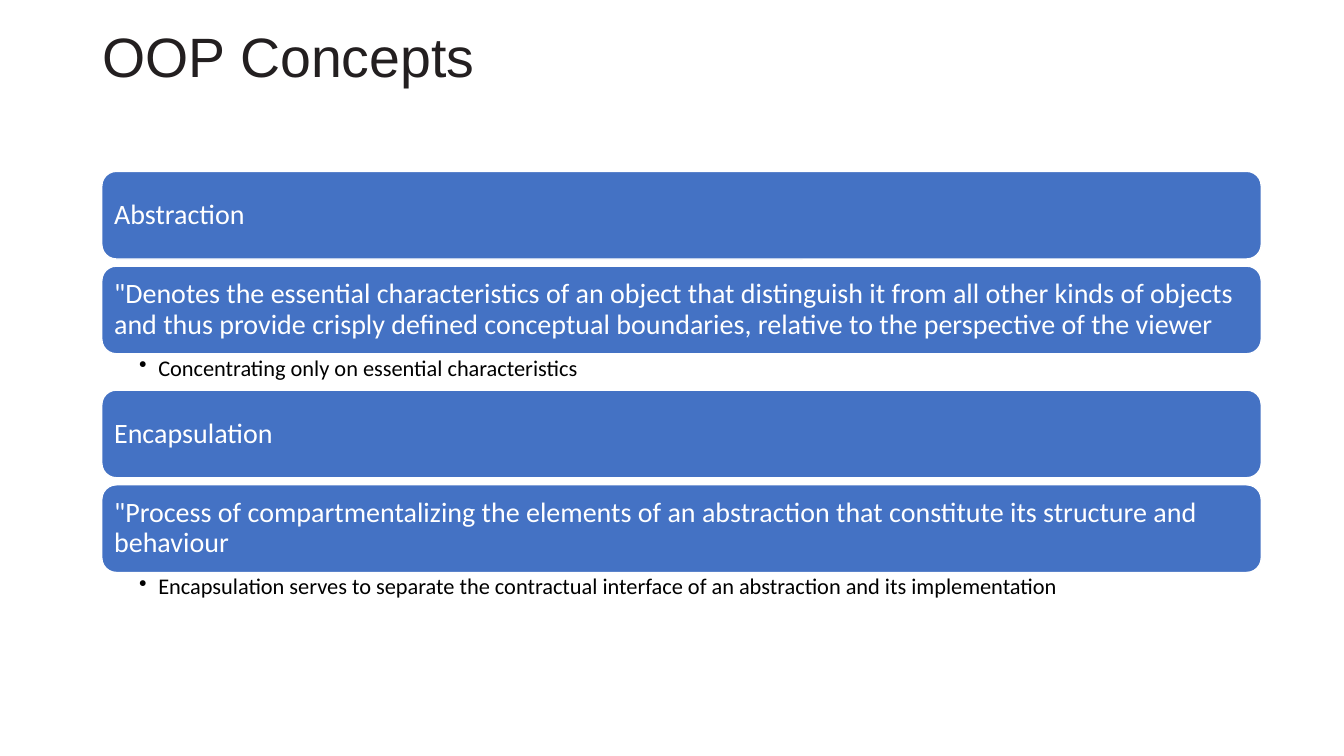
from lxml import etree
from pptx import Presentation
from pptx.dml.color import RGBColor
from pptx.enum.shapes import MSO_SHAPE
from pptx.enum.text import MSO_ANCHOR, PP_ALIGN
from pptx.oxml.ns import qn
from pptx.util import Inches, Pt

BLUE = RGBColor(0x44, 0x72, 0xC4)
WHITE = RGBColor(0xFF, 0xFF, 0xFF)
BLACK = RGBColor(0x00, 0x00, 0x00)
CHARCOAL = RGBColor(0x23, 0x1F, 0x20)

BAR_HEIGHT = 0.87
BAR_GAP = 0.07
POINT_HEIGHT = 0.36
CONCEPT_HEIGHT = 2 * BAR_HEIGHT + BAR_GAP + POINT_HEIGHT

CONCEPTS = [
    (
        "Abstraction",
        '"Denotes the essential characteristics of an object that distinguish it '
        "from all other kinds of objects and thus provide crisply defined conceptual "
        "boundaries, relative to the perspective of the viewer",
        "Concentrating only on essential characteristics",
    ),
    (
        "Encapsulation",
        '"Process of compartmentalizing the elements of an abstraction that '
        "constitute its structure and behaviour",
        "Encapsulation serves to separate the contractual interface of an "
        "abstraction and its implementation",
    ),
]


def write_text(shape, text, size, color, font, insets, anchor):
    """Fill a shape with one left-aligned paragraph and return the paragraph."""
    frame = shape.text_frame
    frame.word_wrap = True
    frame.vertical_anchor = anchor
    for side, inset in zip(("left", "top", "right", "bottom"), insets):
        setattr(frame, f"margin_{side}", Inches(inset))
    paragraph = frame.paragraphs[0]
    paragraph.text = text
    paragraph.alignment = PP_ALIGN.LEFT
    paragraph.line_spacing = 0.9
    for name, value in {"size": Pt(size), "name": font}.items():
        setattr(paragraph.font, name, value)
    paragraph.font.color.rgb = color
    return paragraph


def add_title(slide, left, top, width, height):
    """Place the slide title at the top of its box."""
    title = slide.shapes.add_textbox(*map(Inches, (left, top, width, height)))
    write_text(title, "OOP Concepts", 39.6, CHARCOAL, "Arial",
               (0.1, 0, 0.1, 0), MSO_ANCHOR.TOP)


def add_bar(slide, text, left, top, width):
    """Place one rounded blue bar with its text."""
    bar = slide.shapes.add_shape(
        MSO_SHAPE.ROUNDED_RECTANGLE, *map(Inches, (left, top, width, BAR_HEIGHT)))
    bar.shadow.inherit = False
    bar.fill.solid()
    bar.fill.fore_color.rgb = BLUE
    bar.line.color.rgb = WHITE
    bar.line.width = Pt(1)
    write_text(bar, text, 20, WHITE, "Calibri", (0.08,) * 4, MSO_ANCHOR.MIDDLE)


def add_point(slide, text, left, top, width):
    """Place one bulleted line."""
    point = slide.shapes.add_textbox(*map(Inches, (left, top, width, POINT_HEIGHT)))
    paragraph = write_text(point, text, 16, BLACK, "Calibri",
                           (0.37, 0.03, 0.16, 0.03), MSO_ANCHOR.TOP)
    paragraph.level = 1
    properties = paragraph._p.get_or_add_pPr()
    properties.set("marL", str(Inches(0.19)))
    properties.set("indent", str(-Inches(0.19)))
    bullet = etree.Element(qn("a:buChar"), char="•")
    properties.insert_element_before(bullet, "a:tabLst", "a:defRPr", "a:extLst")


def add_concept(slide, concept, left, top, width):
    """Stack the name, definition and point of one concept."""
    name, definition, point = concept
    definition_top = top + BAR_HEIGHT + BAR_GAP
    add_bar(slide, name, left, top, width)
    add_bar(slide, definition, left, definition_top, width)
    add_point(slide, point, left, definition_top + BAR_HEIGHT, width)


def main():
    """Build the slide and save it."""
    presentation = Presentation()
    presentation.slide_width = Inches(13.33)
    presentation.slide_height = Inches(7.5)
    slide = presentation.slides.add_slide(presentation.slide_layouts[6])
    add_title(slide, 0.92, 0.29, 11.5, 1.06)
    for index, concept in enumerate(CONCEPTS):
        add_concept(slide, concept, 1.01, 1.7 + index * CONCEPT_HEIGHT, 11.5)
    presentation.save("out.pptx")


if __name__ == "__main__":
    main()
